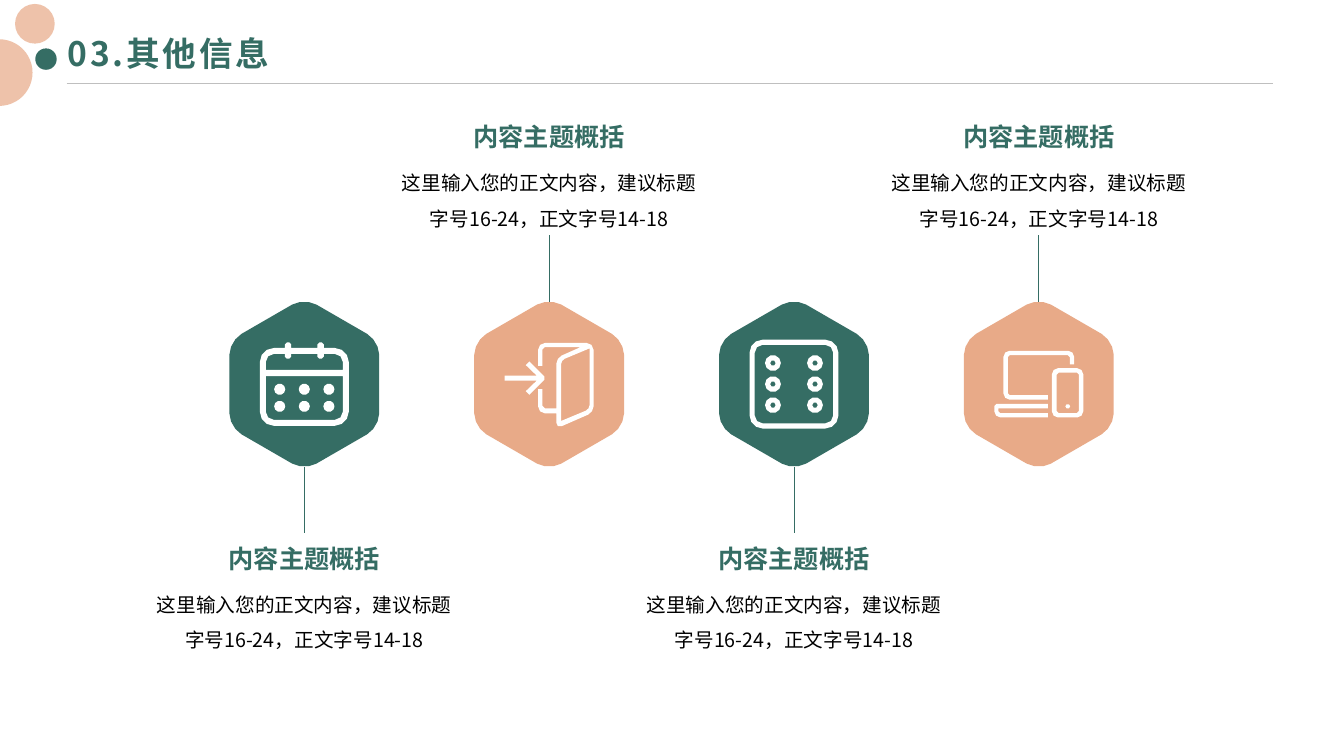
from itertools import product
from math import cos, pi, sin

from lxml import etree
from pptx import Presentation
from pptx import util as u
from pptx.dml.color import RGBColor
from pptx.enum import shapes, text
from pptx.oxml.ns import qn

Cm = u.Cm
COLORS = {"green": "356D64", "peach": "E8AA88", "rule": "BFBFBF",
          "white": "FFFFFF", "black": "000000"}
FONT = "Noto Sans CJK SC"
HEADING = {"size": u.Pt(24), "bold": True, "color": "green"}
TOPIC = {"size": u.Pt(18), "bold": True, "color": "green"}
BODY = {"size": u.Pt(14), "bold": False, "color": "black"}


def rgb(name):
    return RGBColor.from_string(COLORS[name])


# ---- Outlines, in cm around a centre ----
def circle(x, y, radius):
    steps = 6 if radius < 0.1 else 10
    angles = [2 * pi * i / steps for i in range(steps)]
    return [(x + radius * cos(a), y + radius * sin(a)) for a in angles]


def rounded(corners):
    """Turn corners (x, y, cut) into an outline with soft corners."""
    outline = []
    for i, (x, y, cut) in enumerate(corners):
        if not cut:
            outline.append((x, y))
            continue
        steps = 1 if cut < 0.1 else 2 if cut < 0.3 else 3
        ends = []
        for nx, ny, _ in (corners[i - 1], corners[(i + 1) % len(corners)]):
            share = cut / ((nx - x) ** 2 + (ny - y) ** 2) ** 0.5
            ends.append(((nx - x) * share, (ny - y) * share))
        (ax, ay), (bx, by) = ends
        for step in range(steps + 1):
            t = step / steps
            near = (1 - t) ** 3 + 1.35 * t * (1 - t) ** 2
            far = t ** 3 + 1.35 * t ** 2 * (1 - t)
            outline.append((x + near * ax + far * bx, y + near * ay + far * by))
    return outline


def panel(left, top, right, bottom, cut):
    return rounded([(left, top, cut), (right, top, cut),
                    (right, bottom, cut), (left, bottom, cut)])


def hexagon(radius=2.18, cut=0.35):
    angles = [pi / 2 + pi / 3 * i for i in range(6)]
    return [rounded([(radius * cos(a), radius * sin(a), cut) for a in angles])]


def calendar():
    def top_edge(half, top, tip, cut):
        edge = [(-half, top, cut)]
        for x in (-0.41, 0.41):
            edge += [(x - 0.08, top, 0), (x - 0.08, tip, 0.05),
                     (x + 0.08, tip, 0.05), (x + 0.08, top, 0)]
        return edge + [(half, top, cut)]

    cover = top_edge(1.12, -0.91, -1.05, 0.35) + [(1.12, 1.05, 0.35), (-1.12, 1.05, 0.35)]
    band = top_edge(0.97, -0.76, -0.64, 0.2) + [(0.97, -0.36, 0), (-0.97, -0.36, 0)]
    page = [(-0.97, -0.2, 0), (0.97, -0.2, 0), (0.97, 0.9, 0.2), (-0.97, 0.9, 0.2)]
    days = [circle(x, y, 0.14) for x, y in product((-0.62, 0, 0.62), (0.13, 0.56))]
    return [rounded(part) for part in (cover, band, page)] + days


def door():
    arrow = [(-1.12, -0.21, 0), (-0.31, -0.21, 0), (-0.59, -0.48, 0),
             (-0.5, -0.57, 0), (-0.08, -0.15, 0.06), (-0.5, 0.27, 0),
             (-0.59, 0.18, 0), (-0.31, -0.09, 0), (-1.12, -0.09, 0)]
    frame = [(-0.28, -0.46, 0), (-0.28, -1.04, 0.18), (1.12, -1.04, 0.18),
             (1.12, 0.71, 0.15), (0.18, 1.12, 0.15), (0.18, 0.74, 0),
             (-0.28, 0.74, 0.18), (-0.28, 0.13, 0), (-0.17, 0.13, 0),
             (-0.17, 0.61, 0.06), (0.18, 0.61, 0), (0.18, -0.66, 0.15),
             (0.79, -0.93, 0), (-0.17, -0.93, 0.06), (-0.17, -0.46, 0)]
    leaf = [(1.02, -0.9, 0), (0.3, -0.6, 0.1), (0.3, 0.93, 0), (1.02, 0.63, 0.1)]
    return [rounded(part) for part in (arrow, frame, leaf)]


def dice():
    pips = [circle(x, y, radius) for x, y, radius
            in product((-0.53, 0.53), (-0.53, 0, 0.53), (0.2, 0.07))]
    return [panel(-1.12, -1.12, 1.12, 1.12, 0.33),
            panel(-0.99, -0.99, 0.99, 0.99, 0.2)] + pips


def devices():
    screen = [(-0.89, -0.84, 0.15), (0.89, -0.84, 0.15), (0.89, -0.5, 0),
              (0.78, -0.5, 0), (0.78, -0.73, 0.05), (-0.78, -0.73, 0.05),
              (-0.78, 0.28, 0.05), (0.23, 0.28, 0), (0.23, 0.39, 0),
              (-0.89, 0.39, 0.15)]
    base = [(-1.12, 0.5, 0.05), (0.23, 0.5, 0), (0.23, 0.61, 0),
            (-1.02, 0.61, 0), (-1.02, 0.73, 0.05), (0.23, 0.73, 0),
            (0.23, 0.84, 0), (-1.12, 0.84, 0.15)]
    return [rounded(screen), rounded(base), panel(0.33, -0.4, 1.12, 0.84, 0.15),
            panel(0.45, -0.29, 1.01, 0.73, 0.05), circle(0.73, 0.56, 0.06)]


# ---- Drawing helpers ----
def paint(shape, color, opacity=100):
    shape.shadow.inherit = False
    shape.line.fill.background()
    shape.fill.solid()
    shape.fill.fore_color.rgb = rgb(color)
    if opacity < 100:
        tone = shape._element.spPr.find(qn("a:solidFill"))[0]
        etree.SubElement(tone, qn("a:alpha")).set("val", str(opacity * 1000))


def draw_outlines(slide, center, outlines, color):
    placed = [[(Cm(center[0] + x), Cm(center[1] + y)) for x, y in outline]
              for outline in outlines]
    builder = slide.shapes.build_freeform(*placed[0][0])
    for i, points in enumerate(placed):
        if i:
            builder.move_to(*points[0])
        builder.add_line_segments(points[1:], close=True)
    paint(builder.convert_to_shape(), color)


def draw_line(slide, start, end, color):
    line = slide.shapes.add_connector(
        shapes.MSO_CONNECTOR.STRAIGHT, *(Cm(v) for v in start + end))
    line.line.width = u.Pt(0.5)
    line.line.color.rgb = rgb(color)
    etree.SubElement(line._element.spPr, qn("a:effectLst"))


def write(slide, box, words, style, align="CENTER", spacing=1.0, wrap=True, tracking=0):
    frame = slide.shapes.add_textbox(*(Cm(v) for v in box)).text_frame
    layout = {"margin_left": 0, "margin_top": 0, "margin_right": 0,
              "margin_bottom": 0, "word_wrap": wrap}
    for key, value in layout.items():
        setattr(frame, key, value)
    paragraph = frame.paragraphs[0]
    paragraph.alignment = getattr(text.PP_ALIGN, align)
    paragraph.line_spacing = spacing
    run = paragraph.add_run()
    run.text = words
    for key, value in {"name": FONT, "size": style["size"], "bold": style["bold"]}.items():
        setattr(run.font, key, value)
    run.font.color.rgb = rgb(style["color"])
    props = run._r.get_or_add_rPr()
    etree.SubElement(props, qn("a:ea")).set("typeface", FONT)
    if tracking:
        props.set("spc", str(tracking * 100))
    return frame


# ---- Regions ----
def header(slide, left, top, width, height):
    bubbles = [(-1.32, -0.69, 1, "peach", 71), (-2.56, 0.2, 1.68, "peach", 71),
               (-0.81, 0.43, 0.54, "green", 100)]
    for x, y, size, color, opacity in bubbles:
        bubble = slide.shapes.add_shape(
            shapes.MSO_SHAPE.OVAL, Cm(left + x), Cm(top + y), Cm(size), Cm(size))
        paint(bubble, color, opacity)
    rule = top + height + 0.1
    draw_line(slide, (left - 0.02, rule), (left + width, rule), "rule")
    heading = write(slide, (left, top, 22.1, height), "03.其他信息", HEADING,
                    "LEFT", spacing=0.9, tracking=2)
    heading.vertical_anchor = text.MSO_ANCHOR.MIDDLE


def topic(slide, x, y, icon, color, above):
    draw_outlines(slide, (x, y), hexagon(), color)
    draw_outlines(slide, (x, y), icon(), "white")
    side = -1 if above else 1
    draw_line(slide, (x, y + side * 2.08), (x, y + side * 3.76), "green")
    top = y - 6.61 if above else y + 4.01
    write(slide, (x - 1.92, top, 3.84, 0.76), "内容主题概括", TOPIC, wrap=False)
    write(slide, (x - 3.89, top + 0.95, 7.78, 1.7),
          "这里输入您的正文内容，建议标题字号16-24，正文字号14-18", BODY, spacing=1.5)


def main():
    deck = Presentation()
    deck.slide_width, deck.slide_height = Cm(33.87), Cm(19.05)
    slide = deck.slides.add_slide(deck.slide_layouts[6])
    header(slide, 1.7, 0.79, 30.38, 1.22)
    for i, icon in enumerate((calendar, door, dice, devices)):
        above = i % 2 == 1
        topic(slide, 7.67 + 6.17 * i, 9.68, icon, "peach" if above else "green", above)
    deck.save("out.pptx")


if __name__ == "__main__":
    main()
